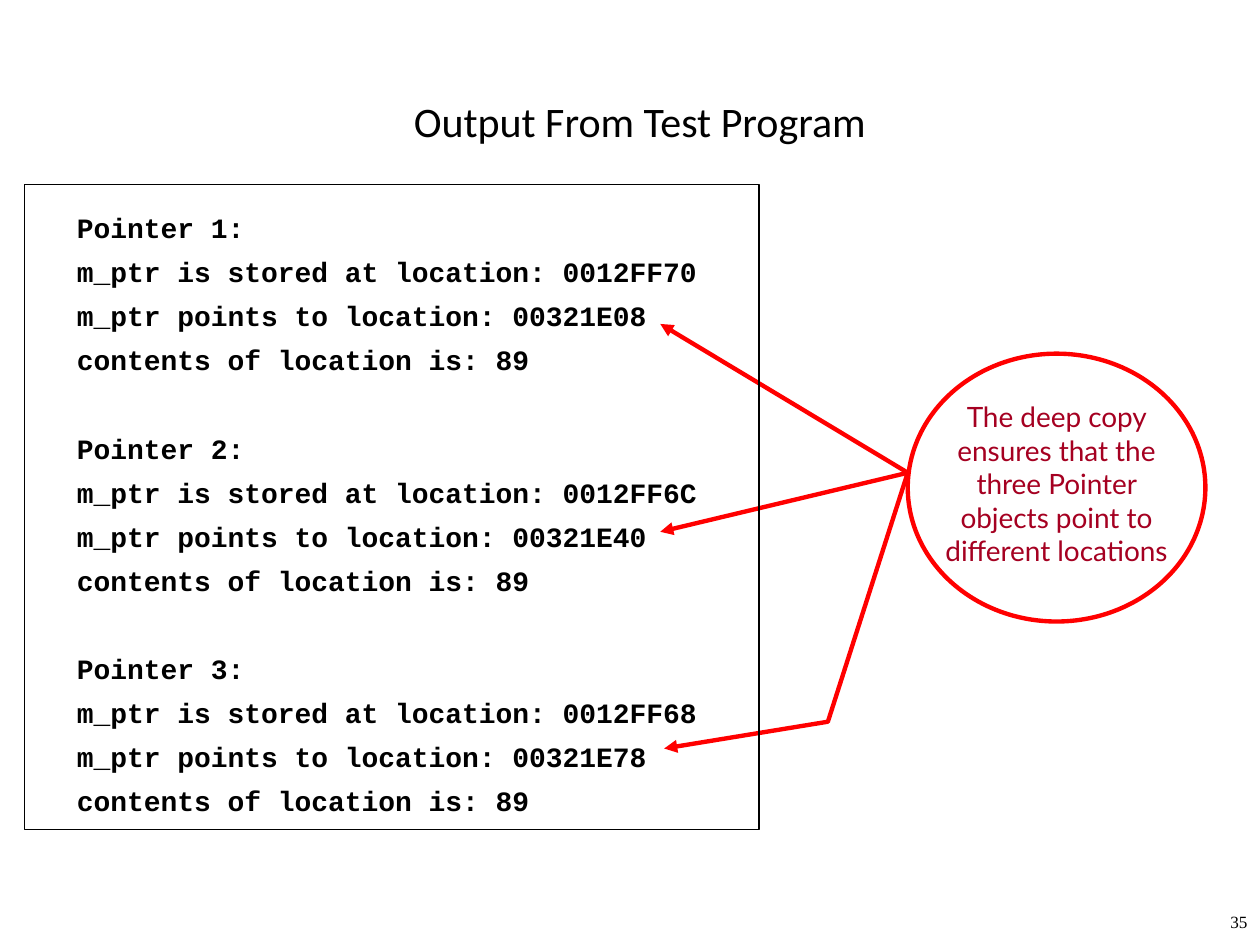
import pptx
import pptx.dml.color
import pptx.enum.shapes
import pptx.enum.text
import pptx.oxml.ns
import pptx.util
from lxml import etree

COLORS = {"text": "000000", "callout": "A50021", "accent": "FF0000"}
ALIGN = pptx.enum.text.PP_ALIGN
SHAPES = pptx.enum.shapes.MSO_SHAPE
LINE_GAP = 6
GROUP_GAP = 31.2
POINTERS = [
    ("0012FF70", "00321E08"),
    ("0012FF6C", "00321E40"),
    ("0012FF68", "00321E78"),
]


def rgb(name):
    return pptx.dml.color.RGBColor.from_string(COLORS[name])


def lengths(values):
    return [pptx.util.Cm(value) for value in values]


def style_line(shape, color, width):
    shape.line.color.rgb = rgb(color)
    shape.line.width = pptx.util.Pt(width)


def add_arrowhead(shape):
    line = shape.line._get_or_add_ln()
    etree.SubElement(line, pptx.oxml.ns.qn("a:tailEnd"), type="triangle")


def add_text(slide, box, text, font, size, color="text", align=ALIGN.LEFT, bold=False):
    text_frame = slide.shapes.add_textbox(*lengths(box)).text_frame
    text_frame.word_wrap = True
    text_frame.text = text
    for paragraph in text_frame.paragraphs:
        paragraph.alignment = align
        for run in paragraph.runs:
            run.font.name = font
            run.font.size = pptx.util.Pt(size)
            run.font.bold = bold
            run.font.color.rgb = rgb(color)
    return text_frame


def add_outline(slide, kind, box, color, width):
    shape = slide.shapes.add_shape(kind, *lengths(box))
    shape.shadow.inherit = False
    shape.fill.background()
    style_line(shape, color, width)


def add_arrow(slide, start, end):
    connector = slide.shapes.add_connector(
        pptx.enum.shapes.MSO_CONNECTOR.STRAIGHT, *lengths(start + end)
    )
    style_line(connector, "accent", 2.5)
    add_arrowhead(connector)
    etree.SubElement(connector._element.spPr, pptx.oxml.ns.qn("a:effectLst"))


def add_bent_arrow(slide, points):
    start, *rest = [lengths(point) for point in points]
    builder = slide.shapes.build_freeform(*start)
    builder.add_line_segments(rest, close=False)
    shape = builder.convert_to_shape()
    shape.shadow.inherit = False
    shape.fill.background()
    style_line(shape, "accent", 2.5)
    add_arrowhead(shape)


def add_program_output(slide):
    lines = []
    for number, (stored, target) in enumerate(POINTERS, start=1):
        lines += [
            f"Pointer {number}:",
            f"m_ptr is stored at location: {stored}",
            f"m_ptr points to location: {target}",
            "contents of location is: 89",
        ]
    text_frame = add_text(slide, (1.3, 4.12, 23, 13.4), "\n".join(lines),
                          "Courier New", 16, bold=True)
    group_size = len(lines) // len(POINTERS)
    for index, paragraph in enumerate(text_frame.paragraphs):
        if index:
            gap = LINE_GAP if index % group_size else GROUP_GAP
            paragraph.space_before = pptx.util.Pt(gap)


def main():
    presentation = pptx.Presentation()
    presentation.slide_width = pptx.util.Cm(25.4)
    presentation.slide_height = pptx.util.Cm(19.05)
    slide = presentation.slides.add_slide(presentation.slide_layouts[6])

    title = add_text(slide, (2.1, 1.54, 21.6, 1.8), "Output From Test Program",
                     "Calibri", 24, align=ALIGN.CENTER)
    title.vertical_anchor = pptx.enum.text.MSO_ANCHOR.MIDDLE
    page_number = add_text(slide, (23.16, 18.32, 2.24, 0.71), "35",
                           "Times New Roman", 9.8, align=ALIGN.RIGHT)
    page_number.paragraphs[0].line_spacing = 0.8

    add_program_output(slide)
    add_outline(slide, SHAPES.OVAL, (18.3, 7.13, 6, 5.4), "accent", 2.5)
    add_text(slide, (18.7, 7.93, 5.2, 4.32),
             "The deep copy ensures that the three Pointer objects point to different locations",
             "Lato", 16, "callout", ALIGN.CENTER)

    origin = (18.3, 9.53)
    for target in [(13.31, 6.53), (13.31, 10.72)]:
        add_arrow(slide, origin, target)
    add_bent_arrow(slide, [origin, (16.69, 14.55), (13.39, 15.09)])
    add_outline(slide, SHAPES.RECTANGLE, (0.5, 3.72, 14.8, 13), "text", 0.75)

    presentation.save("out.pptx")


if __name__ == "__main__":
    main()
